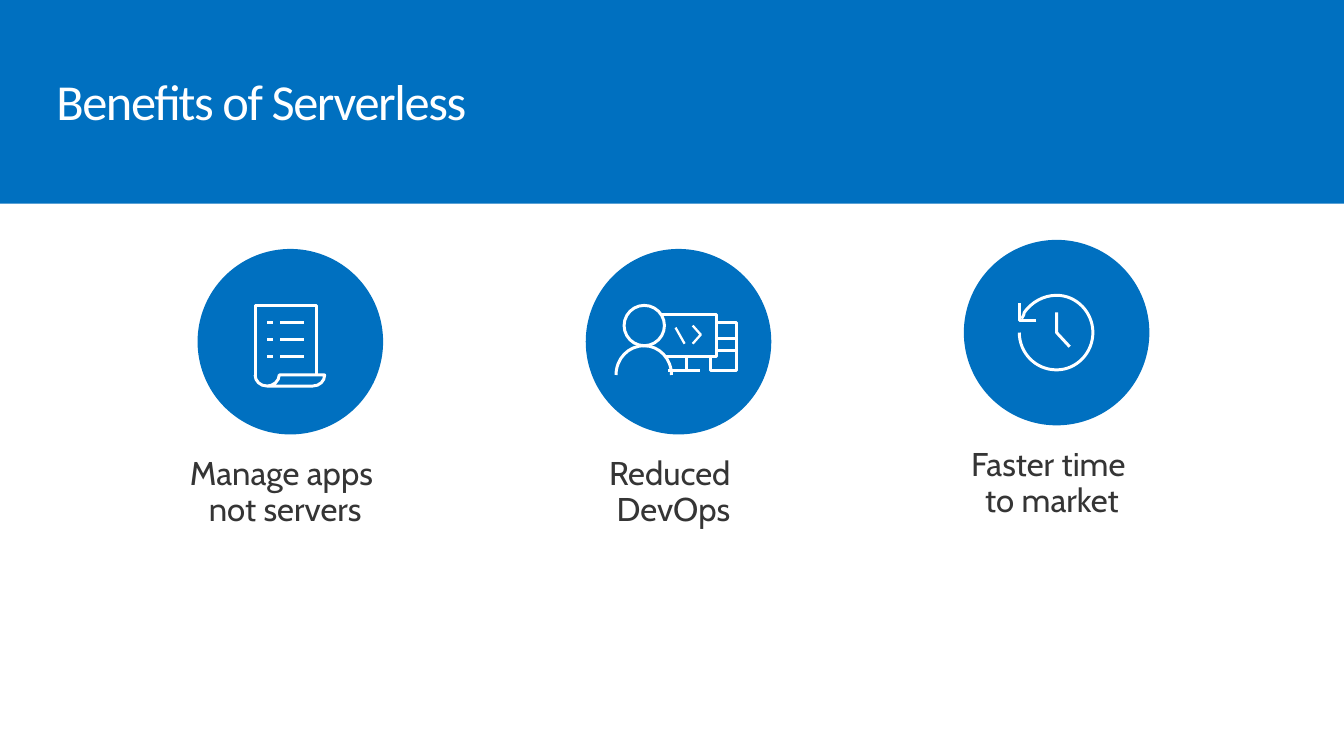
from dataclasses import dataclass

from lxml.etree import SubElement
from pptx import Presentation
from pptx.dml.color import RGBColor
from pptx.enum.shapes import MSO_CONNECTOR, MSO_SHAPE
from pptx.enum.text import MSO_AUTO_SIZE, PP_ALIGN
from pptx.oxml.ns import qn
from pptx.shapes.autoshape import Shape
from pptx.shapes.group import GroupShape
from pptx.slide import Slide
from pptx.util import Inches, Pt

COLORS = {"blue": "0070C0", "white": "FFFFFF", "text": "353535"}
DISC = 1.84
CAPTION_DROP = 1.91  # from the top of a disc to the top of its caption


@dataclass
class Stroke:
    """An open line; a curved one lists a start and then Bézier triples."""
    points: list[tuple[float, float]]
    curved: bool = False
    weight: float = 2.13


@dataclass
class Ring:
    left: float
    top: float
    size: float


@dataclass
class Benefit:
    caption: str
    caption_left: float
    caption_width: float
    disc_left: float
    disc_top: float
    icon: list[Stroke | Ring]


LIST_ROWS = [3.2, 3.37, 3.54]
SCROLL = [
    Stroke([(2.53, 3.72), (2.53, 3.78), (2.58, 3.83), (2.65, 3.83),
            (2.71, 3.83), (2.77, 3.78), (2.77, 3.72),
            (3.22, 3.72), (3.22, 3.72), (3.22, 3.72),
            (3.22, 3.78), (3.17, 3.83), (3.1, 3.83),
            (2.65, 3.83), (2.65, 3.83), (2.65, 3.83)], curved=True),
    Stroke([(2.53, 3.73), (2.53, 3.03), (3.14, 3.03), (3.14, 3.72)]),
    *(Stroke([(x1, y), (x2, y)])
      for x1, x2 in [(2.78, 3.02), (2.65, 2.71)] for y in LIST_ROWS),
]
DEVELOPER = [
    Ring(6.19, 3.03, 0.4),
    Stroke([(6.66, 3.72), (6.66, 3.56), (6.54, 3.43), (6.39, 3.43),
            (6.23, 3.43), (6.11, 3.56), (6.11, 3.72)], curved=True),
    Stroke([(6.61, 3.54), (7.11, 3.54), (7.11, 3.12), (6.56, 3.12)]),
    Stroke([(6.81, 3.68), (6.81, 3.54)]),
    Stroke([(7.11, 3.2), (7.31, 3.2), (7.31, 3.68), (7.05, 3.68), (7.05, 3.54)]),
    Stroke([(6.94, 3.68), (6.63, 3.68)]),
    *(Stroke([(7.31, y), (7.11, y)]) for y in (3.36, 3.48)),
    Stroke([(6.7, 3.25), (6.79, 3.41)], weight=1.63),
    Stroke([(6.87, 3.23), (6.95, 3.32), (6.87, 3.41)], weight=1.63),
]
CLOCK = [
    Stroke([(10.13, 3.16), (10.13, 3.16), (10.14, 3.16), (10.14, 3.15),
            (10.15, 3.13), (10.16, 3.12), (10.16, 3.1),
            (10.23, 3.0), (10.35, 2.93), (10.48, 2.93),
            (10.68, 2.93), (10.84, 3.1), (10.84, 3.3),
            (10.84, 3.5), (10.68, 3.67), (10.48, 3.67),
            (10.27, 3.67), (10.11, 3.5), (10.11, 3.3)], curved=True),
    Stroke([(10.48, 3.1), (10.48, 3.3), (10.61, 3.44)]),
    Stroke([(10.28, 3.18), (10.11, 3.18), (10.11, 3.01)]),
]
BENEFITS = [
    Benefit("Reduced \nDevOps", 5.32, 2.82, 5.81, 2.47, DEVELOPER),
    Benefit("Manage apps \nnot servers", 1.42, 2.92, 1.96, 2.47, SCROLL),
    Benefit("Faster time \nto market", 9.14, 2.69, 9.56, 2.38, CLOCK),
]


def rgb(name: str) -> RGBColor:
    return RGBColor.from_string(COLORS[name])


def fill_blue(shape: Shape) -> None:
    shape.shadow.inherit = False
    shape.fill.solid()
    shape.fill.fore_color.rgb = rgb("blue")
    shape.line.fill.background()


def outline_white(shape: Shape, weight: float) -> None:
    shape.shadow.inherit = False
    shape.fill.background()
    shape.line.color.rgb = rgb("white")
    shape.line.width = Pt(weight)


def bend(shape: Shape) -> None:
    """Turn each three line segments of a freeform into one Bézier curve."""
    outline = shape._element.xpath(".//a:path")[0]
    segments = outline.findall(qn("a:lnTo"))
    for i in range(0, len(segments), 3):
        curve = SubElement(outline, qn("a:cubicBezTo"))
        for segment in segments[i:i + 3]:
            curve.append(segment[0])
            outline.remove(segment)


def add_stroke(group: GroupShape, stroke: Stroke) -> None:
    points = [(Inches(x), Inches(y)) for x, y in stroke.points]
    if len(points) == 2:
        line = group.shapes.add_connector(MSO_CONNECTOR.STRAIGHT, *points[0], *points[1])
        line.line.color.rgb = rgb("white")
        line.line.width = Pt(stroke.weight)
        SubElement(line._element.spPr, qn("a:effectLst"))
        return
    builder = group.shapes.build_freeform(*points[0])
    builder.add_line_segments(points[1:], close=False)
    shape = builder.convert_to_shape()
    if stroke.curved:
        bend(shape)
    outline_white(shape, stroke.weight)


def add_disc(group: GroupShape, left: float, top: float, size: float) -> Shape:
    return group.shapes.add_shape(MSO_SHAPE.OVAL, Inches(left), Inches(top),
                                  Inches(size), Inches(size))


def add_caption(s: Slide, benefit: Benefit) -> None:
    tb = s.shapes.add_textbox(Inches(benefit.caption_left),
                              Inches(benefit.disc_top + CAPTION_DROP),
                              Inches(benefit.caption_width), Inches(1.04))
    tf = tb.text_frame
    tf.word_wrap = True
    tf.auto_size = MSO_AUTO_SIZE.SHAPE_TO_FIT_TEXT
    tf.margin_left, tf.margin_right = Inches(0.1), Inches(0.2)
    tf.margin_top = tf.margin_bottom = Inches(0.16)
    p = tf.paragraphs[0]
    p.text = benefit.caption
    p.alignment = PP_ALIGN.CENTER
    p.line_spacing = 0.9
    p.space_after = Pt(5.9)
    p.font.name, p.font.size = "Cabin", Pt(23.5)
    p.font.color.rgb = rgb("text")


def add_benefit(s: Slide, benefit: Benefit) -> None:
    add_caption(s, benefit)
    group = s.shapes.add_group_shape()
    fill_blue(add_disc(group, benefit.disc_left, benefit.disc_top, DISC))
    for part in benefit.icon:
        if isinstance(part, Ring):
            outline_white(add_disc(group, part.left, part.top, part.size), 2.13)
        else:
            add_stroke(group, part)


def add_title(s: Slide, text: str) -> None:
    fill_blue(s.shapes.add_shape(MSO_SHAPE.RECTANGLE, 0, 0, Inches(13.33), Inches(2.02)))
    tb = s.shapes.add_textbox(Inches(0.46), Inches(0.71), Inches(12.75), Inches(0.59))
    tf = tb.text_frame
    tf.word_wrap = True
    p = tf.paragraphs[0]
    p.text = text
    p.line_spacing = 0.9
    p.font.name, p.font.size = "Calibri", Pt(36)
    p.font.color.rgb = rgb("white")
    p.runs[0]._r.get_or_add_rPr().set("spc", "-100")


def main() -> None:
    prs = Presentation()
    prs.slide_width, prs.slide_height = Inches(13.33), Inches(7.5)
    s = prs.slides.add_slide(prs.slide_layouts[6])
    for benefit in BENEFITS:
        add_benefit(s, benefit)
    add_title(s, "Benefits of Serverless")
    prs.save("out.pptx")


if __name__ == "__main__":
    main()
